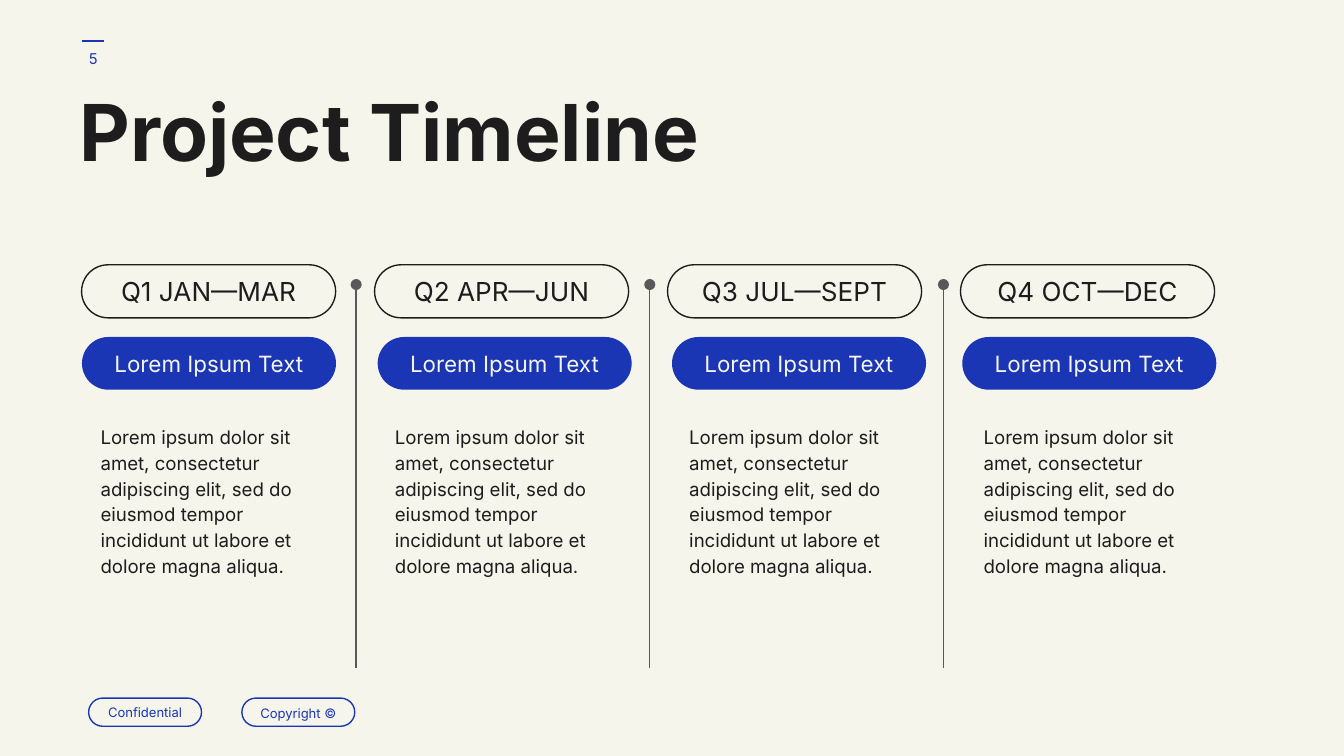
import pptx
import pptx.util
import pptx.dml.color
import pptx.enum.shapes
import pptx.enum.text
import pptx.oxml
import pptx.oxml.ns
from dataclasses import dataclass

ALIGN = pptx.enum.text.PP_ALIGN
ANCHOR = pptx.enum.text.MSO_ANCHOR
KIND = pptx.enum.shapes.MSO_SHAPE
LINK = pptx.enum.shapes.MSO_CONNECTOR


@dataclass(frozen=True)
class Theme:
    font: str = "Inter"
    paper: str = "F6F5EC"
    ink: str = "1D1D1D"
    blue: str = "1A36B4"
    gray: str = "595959"
    title: int = 42
    head: int = 14
    task: int = 12
    body: int = 10
    page: int = 8
    foot: int = 7
    line: float = 0.75


THEME = Theme()
COLS, ROWS = 100, 56.25
STEP = 21.8
BLURB = (
    "Lorem ipsum dolor sit amet, consectetur adipiscing elit, sed do "
    "eiusmod tempor incididunt ut labore et dolore magna aliqua."
)
QUARTERS = [
    ("Q1 JAN—MAR", 6.1),
    ("Q2 APR—JUN", 28.1),
    ("Q3 JUL—SEPT", 50),
    ("Q4 OCT—DEC", 71.6),
]
FOOTER = [("Confidential", 6.6, 1), ("Copyright ©", 18, 1.15)]


def grid(*cells):
    return [pptx.util.Inches(cell / 10) for cell in cells]


def color(code):
    return pptx.dml.color.RGBColor.from_string(code)


def apply(item, values):
    for name, value in values.items():
        setattr(item, name, value)


def write(shape, text, size, tint, align=ALIGN.LEFT, anchor=ANCHOR.TOP, space=1, bold=False):
    frame = shape.text_frame
    pad = grid(1)[0]
    apply(frame, {
        "text": text,
        "word_wrap": True,
        "auto_size": pptx.enum.text.MSO_AUTO_SIZE.NONE,
        "vertical_anchor": anchor,
        "margin_left": pad,
        "margin_right": pad,
        "margin_top": pad,
        "margin_bottom": pad,
    })
    para = frame.paragraphs[0]
    apply(para, {"alignment": align, "line_spacing": space})
    font = para.runs[0].font
    apply(font, {"name": THEME.font, "size": pptx.util.Pt(size), "bold": bold})
    font.color.rgb = color(tint)


def stroke(line, tint):
    line.color.rgb = color(tint)
    line.width = pptx.util.Pt(THEME.line)


def label(slide, area, text, size, tint, **style):
    write(slide.shapes.add_textbox(*grid(*area)), text, size, tint, **style)


def pill(slide, area, text, size, tint, fill=None, space=1):
    shape = slide.shapes.add_shape(KIND.ROUNDED_RECTANGLE, *grid(*area))
    shape.adjustments[0] = 0.5
    shape.shadow.inherit = False
    if fill:
        shape.fill.solid()
        shape.fill.fore_color.rgb = color(fill)
        shape.line.fill.background()
    else:
        shape.fill.background()
        stroke(shape.line, tint)
    write(shape, text, size, tint, ALIGN.CENTER, ANCHOR.MIDDLE, space)


def rule(slide, ends, tint, dot=False):
    link = slide.shapes.add_connector(LINK.STRAIGHT, *grid(*ends))
    stroke(link.line, tint)
    make = pptx.oxml.ns.qn
    props = link._element.spPr
    props.append(props.makeelement(make("a:effectLst"), {}))
    if dot:
        edge = props.find(make("a:ln"))
        edge.append(edge.makeelement(make("a:headEnd"), {"type": "oval"}))


def header(slide):
    rule(slide, (7.75, 3.05, 6.1, 3.05), THEME.blue)
    label(slide, (4.6, 2.2, 4.7, 4.3), "5", THEME.page, THEME.blue,
          align=ALIGN.CENTER, anchor=ANCHOR.MIDDLE)
    title = slide.shapes.title
    left, top, width, height = grid(4.9, 6.55, 75.1, 11.4)
    apply(title, {"left": left, "top": top, "width": width, "height": height})
    write(title, "Project Timeline", THEME.title, THEME.ink, space=0.8, bold=True)


def quarter(slide, index, name, left):
    shift = index * STEP
    pill(slide, (6.07 + shift, 19.7, 18.9, 3.95), name, THEME.head, THEME.ink)
    pill(slide, (left, 25.08, 18.9, 3.92), "Lorem Ipsum Text", THEME.task,
         THEME.paper, fill=THEME.blue)
    label(slide, (6.5 + index * 21.9, 30.44, 17.9, 18.8), BLURB, THEME.body,
          THEME.ink, space=1.15)
    if index:
        spot = 4.65 + index * 21.85
        rule(slide, (spot, 21.17, spot, 49.7), THEME.gray, dot=True)


def main():
    deck = pptx.Presentation()
    deck.slide_width, deck.slide_height = grid(COLS, ROWS)
    slide = deck.slides.add_slide(deck.slide_layouts[5])
    back = slide.background.fill
    back.solid()
    back.fore_color.rgb = color(THEME.paper)
    header(slide)
    for index, (name, left) in enumerate(QUARTERS):
        quarter(slide, index, name, left)
    for text, left, space in FOOTER:
        pill(slide, (left, 51.94, 8.4, 2.1), text, THEME.foot, THEME.blue, space=space)
    deck.save("out.pptx")


if __name__ == "__main__":
    main()
